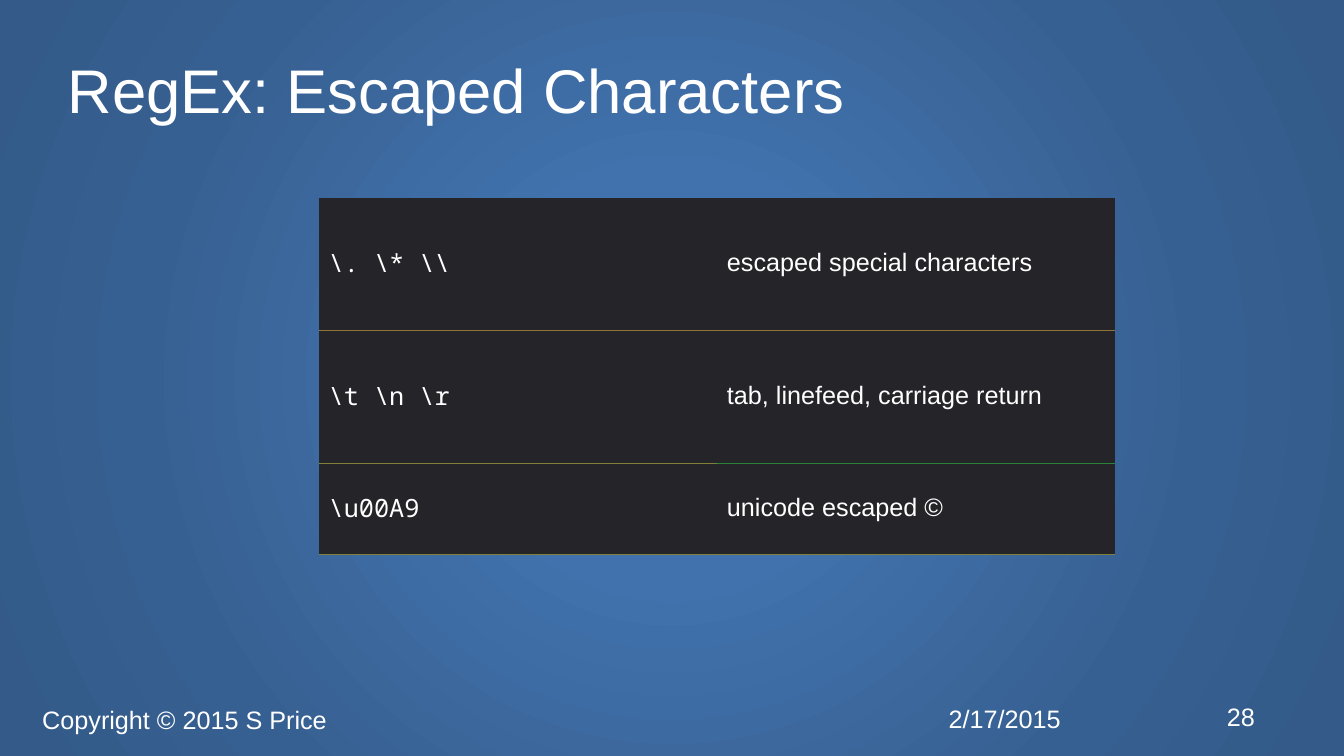
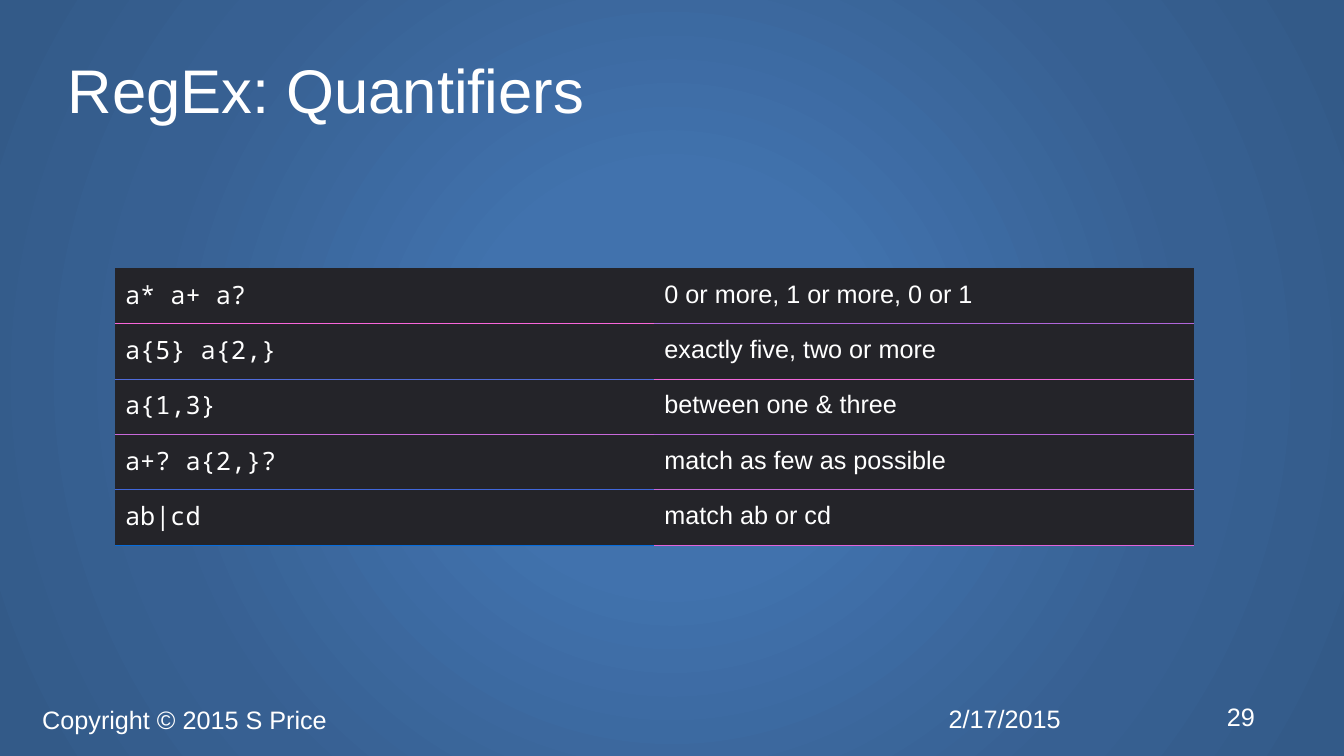
from lxml.etree import SubElement
from pptx import Presentation
from pptx.dml.color import RGBColor
from pptx.enum.text import MSO_ANCHOR
from pptx.oxml.ns import qn
from pptx.util import Inches, Pt

WIDE, HIGH = 13.33, 7.5
WHITE = RGBColor(0xFF, 0xFF, 0xFF)
CELL = RGBColor(0x24, 0x24, 0x29)
GLOW = [
    (0, RGBColor(0x41, 0x72, 0xAD)),
    (26, RGBColor(0x41, 0x72, 0xAD)),
    (69, RGBColor(0x37, 0x60, 0x92)),
    (97, RGBColor(0x33, 0x5A, 0x88)),
]
SANS, MONO = "Arial", "Noto Sans Mono"
PLAIN = "{2D5ABB26-0587-4C30-8999-92F81FD0307C}"  # no style, no grid

TITLE = (0.67, 0.3, 12, 1.25)
FOOT = [
    ("2/17/2015", (9.31, 6.92, 1.75, 0.41)),
    ("Copyright © 2015 S Price", (0.32, 6.93, 8.99, 0.41)),
]
PAGE = (12.07, 6.9, 0.6, 0.41)

# Each row: pattern, meaning, and the rule colour below each of the two cells
SLIDES = [
    {
        "title": "RegEx: Escaped Characters",
        "page": 28,
        "spot": (3.16, 1.96),
        "col": 3.95,
        "tall": [1.32, 1.32, 0.9],
        "rows": [
            (r"\. \* \\", "escaped special characters", "907338", "907338"),
            (r"\t \n \r", "tab, linefeed, carriage return", "808038", "288438"),
            (r"\u00A9", "unicode escaped ©", "808038", "808038"),
        ],
    },
    {
        "title": "RegEx: Quantifiers",
        "page": 29,
        "spot": (1.14, 2.66),
        "col": 5.35,
        "tall": [0.55] * 5,
        "rows": [
            ("a* a+ a?", "0 or more, 1 or more, 0 or 1", "F866DA", "B066DA"),
            ("a{5} a{2,}", "exactly five, two or more", "506CDA", "F068DA"),
            ("a{1,3}", "between one & three", "C869DA", "B864DA"),
            ("a+? a{2,}?", "match as few as possible", "4067DA", "C869DA"),
            ("ab|cd", "match ab or cd", "086CDA", "E063DA"),
        ],
    },
]


def set_back(master):
    """Give the master a round gradient that every slide inherits."""
    master.background.fill.solid()
    back = master.element.find(".//" + qn("p:bgPr"))
    back.remove(back[0])
    grad = SubElement(back, qn("a:gradFill"), rotWithShape="1")
    back.insert(0, grad)
    stops = SubElement(grad, qn("a:gsLst"))
    for share, color in GLOW:
        stop = SubElement(stops, qn("a:gs"), pos=str(share * 1000))
        SubElement(stop, qn("a:srgbClr"), val=str(color))
    path = SubElement(grad, qn("a:path"), path="circle")
    SubElement(path, qn("a:fillToRect"), l="50000", t="50000", r="50000", b="50000")


def write(frame, text, size=18, font=SANS, color=WHITE, lead=None):
    para = frame.paragraphs[0]
    para.line_spacing = lead
    run = para.add_run()
    run.text = text
    run.font.size, run.font.name = Pt(size), font
    run.font.color.rgb = color


def add_text(slide, text, spot, inset=None, **style):
    frame = slide.shapes.add_textbox(*map(Inches, spot)).text_frame
    frame.word_wrap = True
    frame.vertical_anchor = MSO_ANCHOR.MIDDLE
    if inset is not None:
        frame.margin_left = frame.margin_right = Inches(inset)
        frame.margin_top = frame.margin_bottom = Inches(inset)
    write(frame, text, **style)


def add_rule(props, side, color):
    """Draw one cell edge; edges must come before the cell's fill."""
    line = SubElement(props, qn("a:" + side), w=str(Pt(0.75)))
    props.insert(len(props.findall(qn("a:lnT"))) if side == "lnB" else 0, line)
    fill = SubElement(line, qn("a:solidFill"))
    SubElement(fill, qn("a:srgbClr"), val=color)


def add_grid(slide, spot, col, tall, rows):
    size = (2 * col, sum(tall))
    shape = slide.shapes.add_table(len(rows), 2, *map(Inches, spot + size))
    shape.element.find(".//" + qn("a:tableStyleId")).text = PLAIN
    table = shape.table
    table.first_row = table.horz_banding = False
    for item in table.columns:
        item.width = Inches(col)
    for item, height in zip(table.rows, tall):
        item.height = Inches(height)
    nodes = shape.element.iter(qn("a:tc"))
    for i, (cell, node) in enumerate(zip(table.iter_cells(), nodes)):
        r, c = divmod(i, 2)
        cell.fill.solid()
        cell.fill.fore_color.rgb = CELL
        cell.vertical_anchor = MSO_ANCHOR.MIDDLE
        cell.margin_top, cell.margin_bottom = Inches(0.01), Inches(0.04)
        write(cell.text_frame, rows[r][c], font=(MONO, SANS)[c])
        props = node.find(qn("a:tcPr"))
        if r:
            add_rule(props, "lnT", rows[r - 1][2 + c])
        add_rule(props, "lnB", rows[r][2 + c])


def main():
    deck = Presentation()
    deck.slide_width, deck.slide_height = Inches(WIDE), Inches(HIGH)
    set_back(deck.slide_master)
    for data in SLIDES:
        slide = deck.slides.add_slide(deck.slide_layouts[6])
        add_text(slide, data["title"], TITLE, inset=0, size=44, lead=0.9)
        for text, spot in FOOT + [(str(data["page"]), PAGE)]:
            add_text(slide, text, spot)
        add_grid(slide, data["spot"], data["col"], data["tall"], data["rows"])
    deck.save("out.pptx")


if __name__ == "__main__":
    main()
